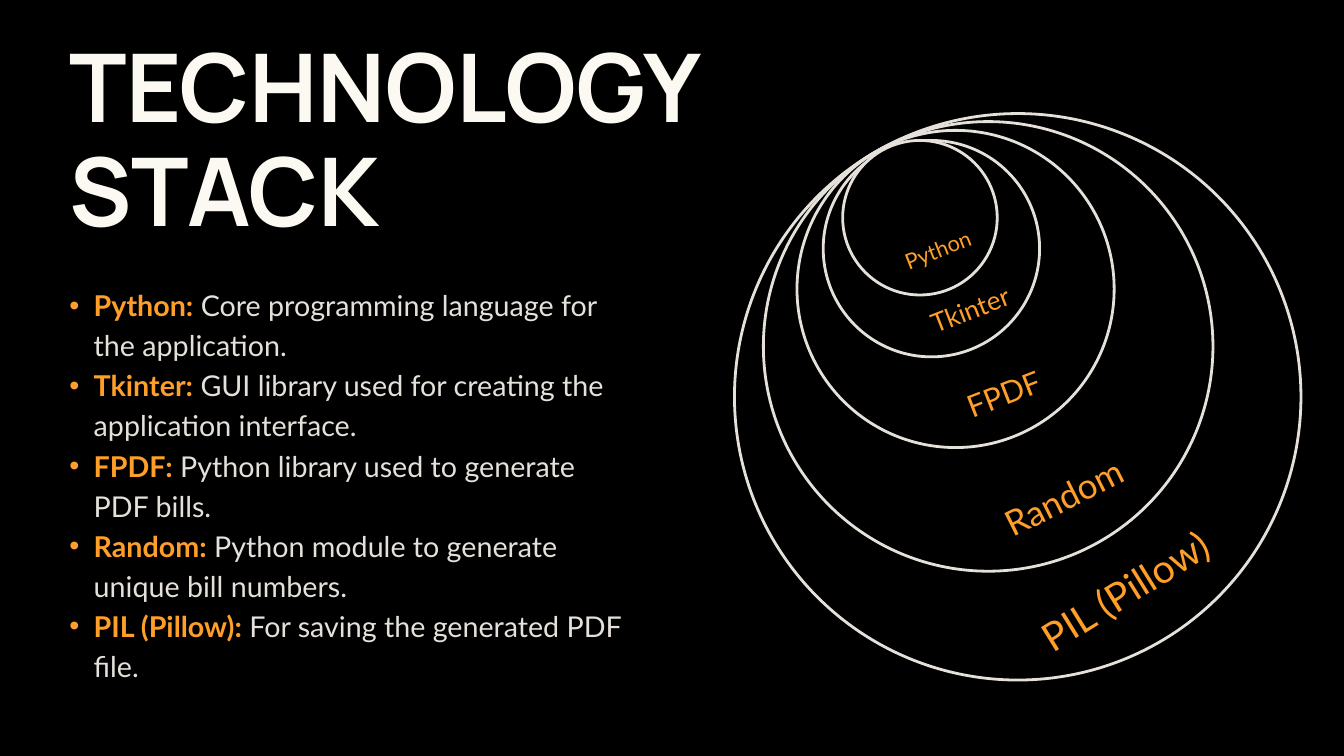
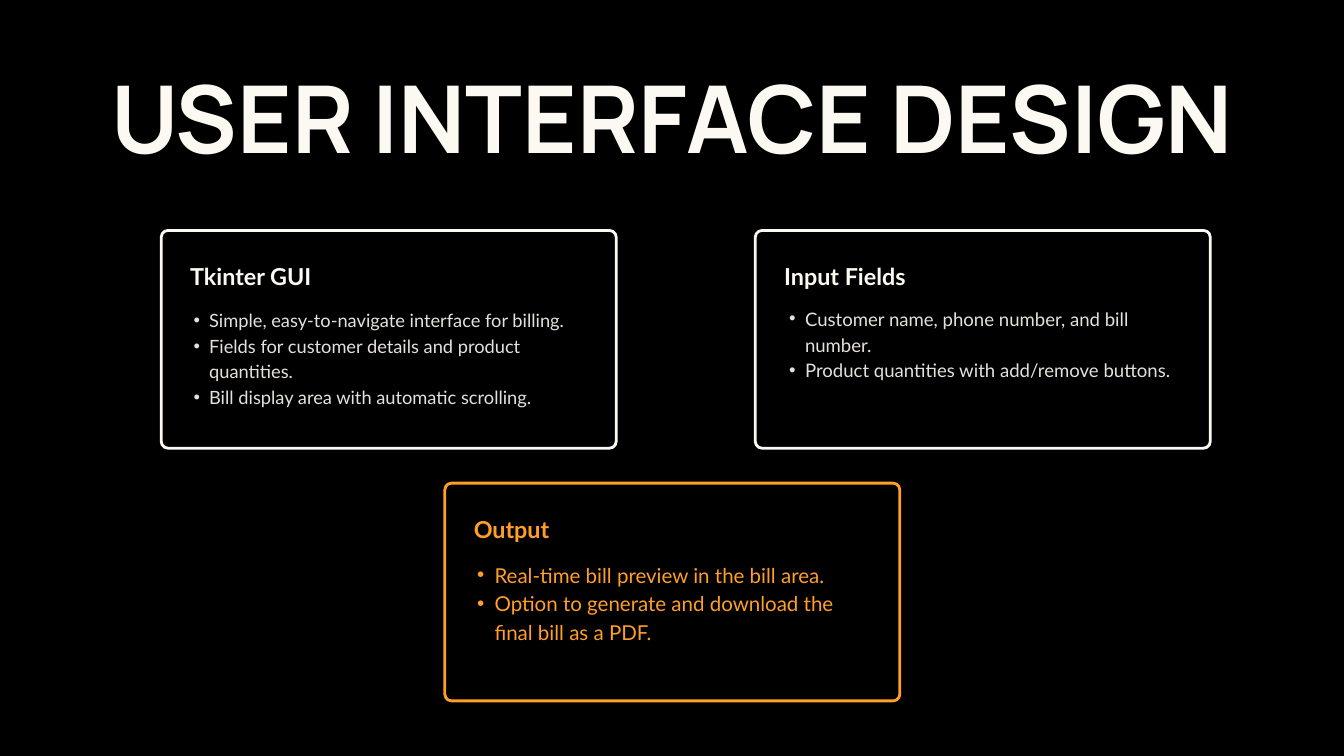
from dataclasses import dataclass, field
from typing import Optional

from lxml import etree
from pptx import Presentation
from pptx.dml.color import RGBColor
from pptx.enum import shapes, text
from pptx.oxml import ns
from pptx.util import Inches, Pt


@dataclass(frozen=True)
class Style:
    font: str
    size: float
    color: RGBColor
    bold: bool = False
    leading: float = 1.4
    align: text.PP_ALIGN = text.PP_ALIGN.LEFT


@dataclass(frozen=True)
class Theme:
    background: RGBColor = RGBColor(0x00, 0x00, 0x00)
    cream: RGBColor = RGBColor(0xFB, 0xF9, 0xF1)
    sand: RGBColor = RGBColor(0xE5, 0xE1, 0xDA)
    orange: RGBColor = RGBColor(0xFF, 0x9F, 0x29)
    heading_font: str = "Manrope"
    body_font: str = "Lato"
    stack_title_size: float = 101.5
    design_title_size: float = 100.2
    stack_list_size: float = 30.7
    card_heading_size: float = 25
    card_list_sizes: tuple = (19.6, 19.9, 22)
    label_sizes: tuple = (42.1, 37.5, 32.8, 28.1, 23.4)
    line_width: float = 3

    def title(self, size: float, align: text.PP_ALIGN) -> Style:
        return Style(self.heading_font, size, self.cream, True, 1.1, align)

    def body(self, size: float, color: RGBColor, bold: bool = False,
             align: text.PP_ALIGN = text.PP_ALIGN.LEFT) -> Style:
        return Style(self.body_font, size, color, bold, align=align)


THEME = Theme()


@dataclass(frozen=True)
class Box:
    left: float
    top: float
    width: float
    height: float

    def lengths(self) -> tuple:
        return tuple(Inches(v) for v in (self.left, self.top, self.width, self.height))


@dataclass(frozen=True)
class Ring:
    name: str
    left: float
    top: float
    diameter: float
    label: Box
    rotation: float
    size: float


@dataclass(frozen=True)
class Card:
    heading: str
    items: list
    left: float
    top: float
    list_offset: tuple
    list_height: float
    list_size: float
    heading_color: RGBColor = field(default=THEME.cream)
    list_color: RGBColor = field(default=THEME.sand)
    placeholders: Optional[tuple] = None


TOOLS = [
    ("Python:", " Core programming language for the application."),
    ("Tkinter:", " GUI library used for creating the application interface."),
    ("FPDF:", " Python library used to generate PDF bills."),
    ("Random:", " Python module to generate unique bill numbers."),
    ("PIL (Pillow):", " For saving the generated PDF file."),
]

RINGS = [
    Ring(*geometry, size) for geometry, size in zip([
        ("PIL (Pillow)", 10.93, 1.69, 8.43, Box(15.26, 8.32, 2.94, 0.92), 328.2),
        ("Random", 11.36, 1.81, 6.69, Box(14.83, 6.98, 1.97, 0.79), 333.4),
        ("FPDF", 11.86, 1.94, 4.72, Box(14.31, 5.49, 1.22, 0.66), 338.7),
        ("Tkinter", 12.25, 2.09, 3.22, Box(13.75, 4.29, 1.38, 0.66), 338.7),
        ("Python", 12.54, 2.09, 2.3, Box(13.39, 3.45, 1.14, 0.55), 338.7),
    ], THEME.label_sizes)
]

CARD_WIDTH, CARD_HEIGHT, CARD_RADIUS = 6.77, 3.24, 0.1
CARD_TEXT_WIDTH = 5.95
CARDS = [
    Card("Tkinter GUI",
         ["Simple, easy-to-navigate interface for billing.",
          "Fields for customer details and product quantities.",
          "Bill display area with automatic scrolling."],
         2.4, 3.43, (0.25, 1.12), 1.86, THEME.card_list_sizes[0], placeholders=(1, 2)),
    Card("Input Fields",
         ["Customer name, phone number, and bill number.",
          "Product quantities with add/remove buttons."],
         11.24, 3.43, (0.27, 1.09), 1.92, THEME.card_list_sizes[1], placeholders=(3, 4)),
    Card("Output",
         ["Real-time bill preview in the bill area.",
          "Option to generate and download the final bill as a PDF."],
         6.62, 7.19, (0.22, 1.12), 1.7, THEME.card_list_sizes[2],
         THEME.orange, THEME.orange),
]


def place(shape, box: Box) -> None:
    shape.left, shape.top, shape.width, shape.height = box.lengths()
    frame = shape.text_frame
    frame.margin_left = frame.margin_top = frame.margin_right = frame.margin_bottom = 0
    frame.word_wrap = True
    frame.vertical_anchor = text.MSO_ANCHOR.TOP
    frame.auto_size = text.MSO_AUTO_SIZE.SHAPE_TO_FIT_TEXT


def add_bullet(paragraph, size: float) -> None:
    paragraph.level = 1
    properties = paragraph._p.get_or_add_pPr()
    properties.set("marL", str(Pt(1.7 * size)))
    properties.set("indent", str(-Pt(0.85 * size)))
    font = etree.SubElement(properties, ns.qn("a:buFont"))
    font.set("typeface", "Arial")
    bullet = etree.SubElement(properties, ns.qn("a:buChar"))
    bullet.set("char", "•")


def write(shape, box: Box, lines: list, style: Style, bulleted: bool = False) -> None:
    place(shape, box)
    frame = shape.text_frame
    for index, line in enumerate(lines):
        paragraph = frame.add_paragraph() if index else frame.paragraphs[0]
        paragraph.alignment = style.align
        paragraph.line_spacing = Pt(style.leading * style.size)
        paragraph.space_before = Pt(0)
        if bulleted:
            add_bullet(paragraph, style.size)
        paragraph.font.name = style.font
        paragraph.font.size = Pt(style.size)
        if isinstance(line, tuple):
            term, description = line
            for words, color, bold in ((term, THEME.orange, True),
                                       (description, style.color, False)):
                run = paragraph.add_run()
                run.text = words
                run.font.color.rgb = color
                run.font.bold = bold
        else:
            paragraph.add_run().text = line
            paragraph.font.color.rgb = style.color
            paragraph.font.bold = style.bold


def add_outline(slide, kind: shapes.MSO_SHAPE, box: Box, color: RGBColor):
    shape = slide.shapes.add_shape(kind, *box.lengths())
    shape.shadow.inherit = False
    shape.fill.solid()
    shape.fill.fore_color.rgb = THEME.background
    shape.line.color.rgb = color
    shape.line.width = Pt(THEME.line_width)
    return shape


def text_holder(slide, placeholder: Optional[int], box: Box):
    if placeholder is None:
        return slide.shapes.add_textbox(*box.lengths())
    holder = slide.placeholders[placeholder]
    holder.element.getparent().append(holder.element)
    return holder


def draw_ring_label(slide, ring: Ring) -> None:
    label = slide.shapes.add_textbox(*ring.label.lengths())
    write(label, ring.label, [ring.name],
          THEME.body(ring.size, THEME.orange, align=text.PP_ALIGN.CENTER))
    label.rotation = ring.rotation


def draw_card(slide, card: Card) -> None:
    outline = add_outline(slide, shapes.MSO_SHAPE.ROUNDED_RECTANGLE,
                          Box(card.left, card.top, CARD_WIDTH, CARD_HEIGHT),
                          card.heading_color)
    outline.adjustments[0] = CARD_RADIUS / CARD_HEIGHT
    heading_index, list_index = card.placeholders or (None, None)
    list_left, list_top = card.list_offset
    list_box = Box(card.left + list_left, card.top + list_top,
                   CARD_TEXT_WIDTH, card.list_height)
    write(text_holder(slide, list_index, list_box), list_box, card.items,
          THEME.body(card.list_size, card.list_color), bulleted=True)
    heading_box = Box(card.left + 0.43, card.top + 0.4, CARD_TEXT_WIDTH, 0.47)
    write(text_holder(slide, heading_index, heading_box), heading_box, [card.heading],
          THEME.body(THEME.card_heading_size, card.heading_color, True))


def build_stack_slide(presentation) -> None:
    slide = presentation.slides.add_slide(
        presentation.slide_layouts.get_by_name("Title and Content"))
    write(slide.shapes.title, Box(1.03, 0.55, 10.89, 3.24), ["TECHNOLOGY STACK"],
          THEME.title(THEME.stack_title_size, text.PP_ALIGN.LEFT))
    write(slide.placeholders[1], Box(0.67, 4.2, 8.78, 6.52), TOOLS,
          THEME.body(THEME.stack_list_size, THEME.sand), bulleted=True)
    for ring in RINGS:
        add_outline(slide, shapes.MSO_SHAPE.OVAL,
                    Box(ring.left, ring.top, ring.diameter, ring.diameter), THEME.sand)
    for ring in RINGS:
        draw_ring_label(slide, ring)


def build_design_slide(presentation) -> None:
    slide = presentation.slides.add_slide(
        presentation.slide_layouts.get_by_name("Comparison"))
    write(slide.shapes.title, Box(0.08, 1.03, 19.85, 1.66), ["USER INTERFACE DESIGN"],
          THEME.title(THEME.design_title_size, text.PP_ALIGN.CENTER))
    for card in CARDS:
        draw_card(slide, card)


def main() -> None:
    presentation = Presentation()
    presentation.slide_width = Inches(20)
    presentation.slide_height = Inches(11.25)
    background = presentation.slide_master.background.fill
    background.solid()
    background.fore_color.rgb = THEME.background
    build_stack_slide(presentation)
    build_design_slide(presentation)
    presentation.save("out.pptx")


if __name__ == "__main__":
    main()
